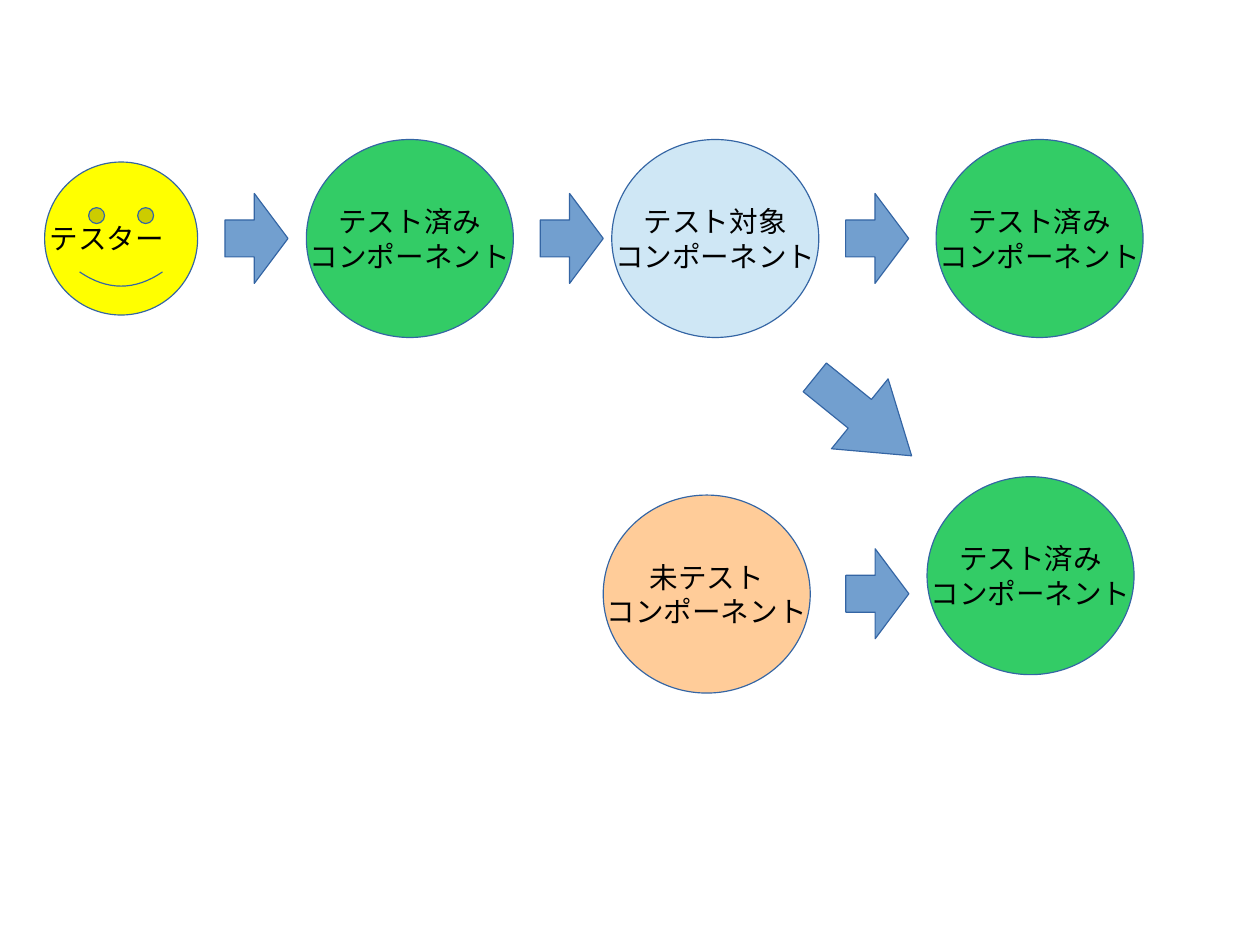
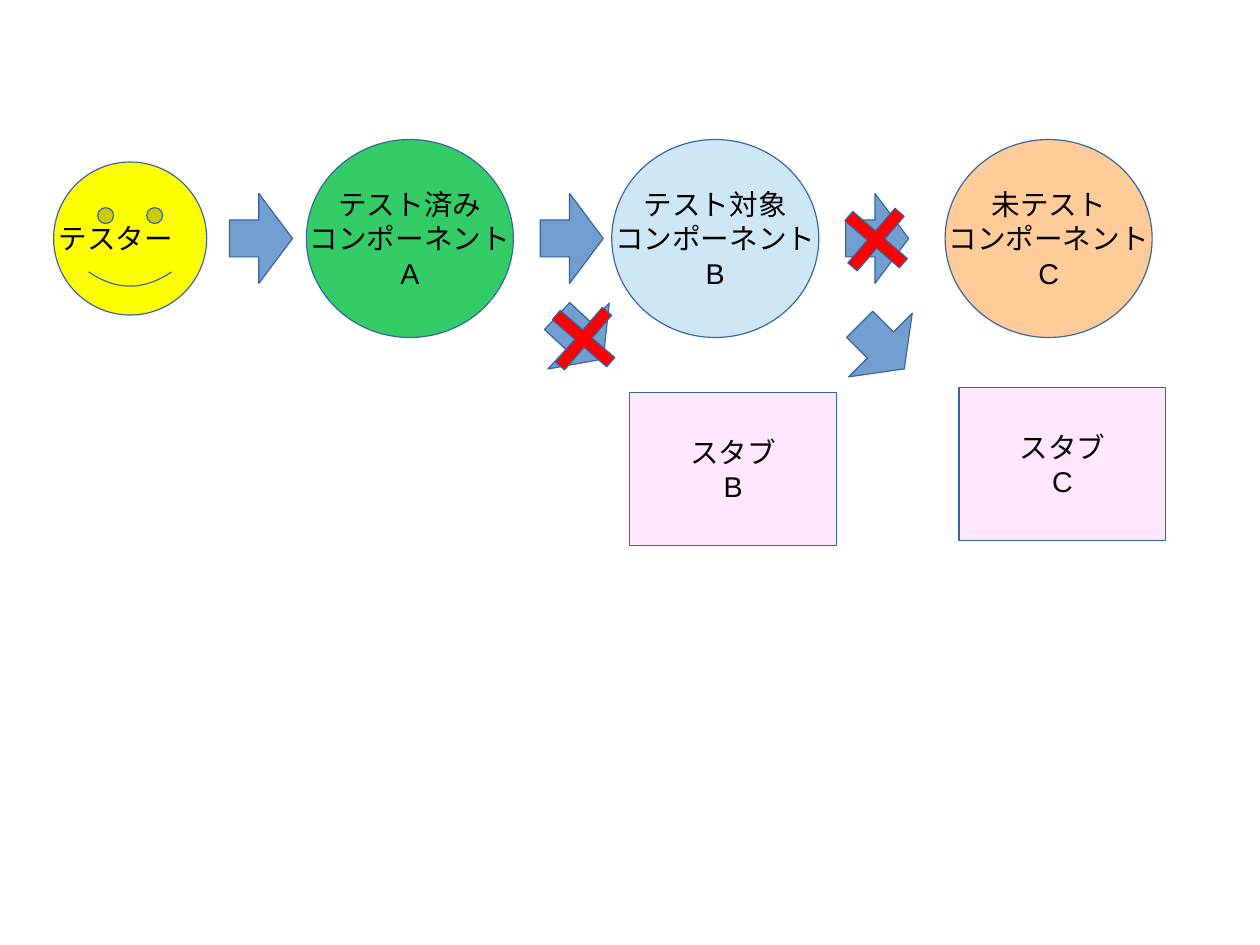
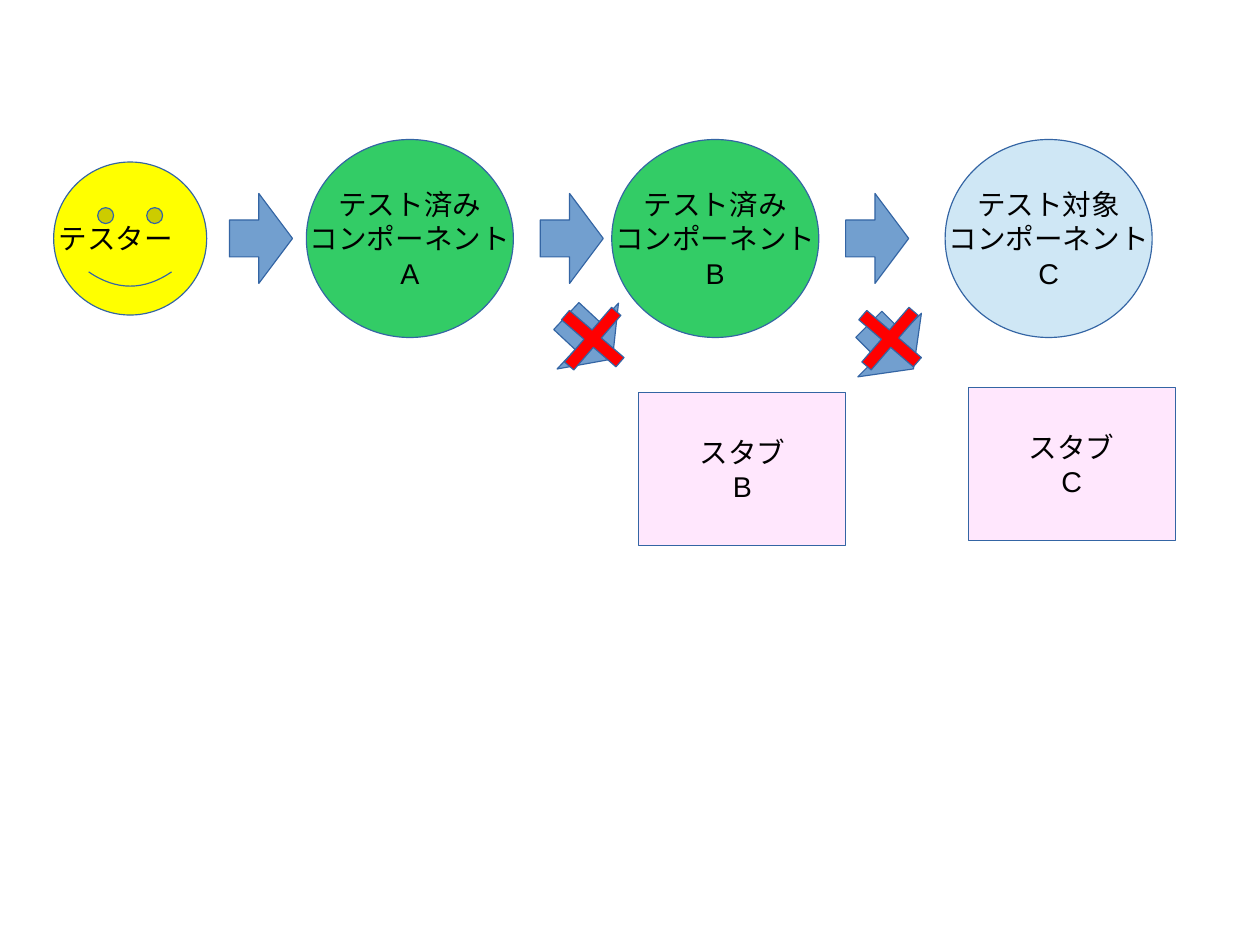
from collections import namedtuple

from pptx import Presentation
from pptx.dml.color import RGBColor
from pptx.enum.shapes import MSO_SHAPE
from pptx.enum.text import MSO_ANCHOR, PP_ALIGN
from pptx.util import Pt

OUTLINE_BLUE = RGBColor(0x34, 0x65, 0xA4)
ARROW_BLUE = RGBColor(0x72, 0x9F, 0xCF)
TARGET_BLUE = RGBColor(0xCF, 0xE7, 0xF5)
TESTED_GREEN = RGBColor(0x33, 0xCC, 0x66)
UNTESTED_ORANGE = RGBColor(0xFF, 0xCC, 0x99)
TESTER_YELLOW = RGBColor(0xFF, 0xFF, 0x00)
STUB_PINK = RGBColor(0xFF, 0xE7, 0xFD)
CROSS_RED = RGBColor(0xFF, 0x00, 0x00)
BLACK = RGBColor(0x00, 0x00, 0x00)

Box = namedtuple("Box", "left top width height")

COMPONENT_WIDTH, COMPONENT_HEIGHT = 130.4, 124.7
COMPONENT_PITCH = 192.4
TESTER_SIZE = 96.4
ARROW_WIDTH, ARROW_HEIGHT = 39.7, 56.7
ARROW_OFFSET = 147.3
CROSS_SIZE = 45.4
STUB_HEIGHT = 96.4

STATES = {
    "テスト済み": TESTED_GREEN,
    "テスト対象": TARGET_BLUE,
    "未テスト": UNTESTED_ORANGE,
}
FONT_FORMAT = {"name": "Arial", "size": Pt(18)}
FRAME_FORMAT = {
    "word_wrap": False,
    "vertical_anchor": MSO_ANCHOR.MIDDLE,
    "margin_left": Pt(7.2),
    "margin_right": Pt(7.2),
    "margin_top": Pt(3.6),
    "margin_bottom": Pt(3.6),
}


def apply_format(target, values):
    for attribute, value in values.items():
        setattr(target, attribute, value)


def add_part(slide, preset, box, fill, rotation=0, adjustments=()):
    part = slide.shapes.add_shape(preset, *(Pt(length) for length in box))
    part.shadow.inherit = False
    part.rotation = rotation
    part.fill.solid()
    part.fill.fore_color.rgb = fill
    part.line.color.rgb = OUTLINE_BLUE
    part.line.width = Pt(0)
    for index, value in enumerate(adjustments):
        part.adjustments[index] = value
    return part


def add_label(part, lines, alignment=PP_ALIGN.CENTER):
    frame = part.text_frame
    apply_format(frame, FRAME_FORMAT)
    frame.text = "\v".join(lines)
    paragraph = frame.paragraphs[0]
    paragraph.alignment = alignment
    for run in paragraph.runs:
        apply_format(run.font, FONT_FORMAT)
        run.font.color.rgb = BLACK


def add_component(slide, left, top, state, letter=""):
    box = Box(left, top, COMPONENT_WIDTH, COMPONENT_HEIGHT)
    lines = [state, "コンポーネント"] + ([letter] if letter else [])
    add_label(add_part(slide, MSO_SHAPE.OVAL, box, STATES[state]), lines)


def add_tester(slide, left, top):
    box = Box(left, top, TESTER_SIZE, TESTER_SIZE)
    tester = add_part(slide, MSO_SHAPE.SMILEY_FACE, box, TESTER_YELLOW, adjustments=(0.093,))
    add_label(tester, ["テスター"], PP_ALIGN.RIGHT)


def add_arrow(slide, left, top, rotation=0, width=ARROW_WIDTH, head=0.534, cross_shift=None):
    box = Box(left, top, width, ARROW_HEIGHT)
    add_part(slide, MSO_SHAPE.RIGHT_ARROW, box, ARROW_BLUE, rotation, (0.41, head))
    if cross_shift:
        shift_x, shift_y = cross_shift
        cross = Box(
            left + (width - CROSS_SIZE) / 2 + shift_x,
            top + (ARROW_HEIGHT - CROSS_SIZE) / 2 + shift_y,
            CROSS_SIZE,
            CROSS_SIZE,
        )
        add_part(slide, MSO_SHAPE.CROSS, cross, CROSS_RED, 40.8, (0.415,))


def add_call_row(slide, box, inset, components, last_cross=None):
    first = box.left + inset
    second = first + COMPONENT_PITCH
    last = box.left + box.width - COMPONENT_WIDTH
    for left, component in zip((first, second, last), components):
        add_component(slide, left, box.top, *component)
    add_tester(slide, box.left, box.top + (box.height - TESTER_SIZE) / 2)

    arrow_top = box.top + (box.height - ARROW_HEIGHT) / 2
    gap_middle = (box.left + TESTER_SIZE + first) / 2
    add_arrow(slide, gap_middle - ARROW_WIDTH / 2 + 2.8, arrow_top)
    add_arrow(slide, first + ARROW_OFFSET, arrow_top)
    add_arrow(slide, second + ARROW_OFFSET, arrow_top, cross_shift=last_cross)


def add_branch(slide, box):
    add_component(slide, box.left, box.top + 11.6, "未テスト")
    add_component(slide, box.left + box.width - COMPONENT_WIDTH, box.top, "テスト済み")
    add_arrow(slide, box.left + 152.8, box.top + 45.4)
    add_arrow(slide, box.left + 124.5, box.top - 66.2, 39, 78.5, 0.741)


def add_stub_row(slide, box, crosses):
    stubs = (
        ("B", 51.1, 62.8, 0, 0, 43),
        ("C", box.width - COMPONENT_WIDTH, 59.9, 190.1, 5.7, 45),
    )
    for (letter, left, top, arrow_left, arrow_top, rotation), cross in zip(stubs, crosses):
        stub_box = Box(box.left + left, box.top + top, COMPONENT_WIDTH, STUB_HEIGHT)
        stub = add_part(slide, MSO_SHAPE.RECTANGLE, stub_box, STUB_PINK)
        add_label(stub, ["スタブ", letter])
        add_arrow(
            slide, box.left + arrow_left, box.top + arrow_top, rotation, cross_shift=cross
        )


def build_direct_slide(slide):
    states = [("テスト済み",), ("テスト対象",), ("テスト済み",)]
    add_call_row(slide, Box(28.1, 87.9, 692, COMPONENT_HEIGHT), 164.9, states)
    add_branch(slide, Box(380, 300.3, 334.4, 136.3))


def build_stub_slide(slide, states, stub_left, last_cross, stub_crosses):
    components = list(zip(states, "ABC"))
    row = Box(33.8, 87.9, 692, COMPONENT_HEIGHT)
    add_call_row(slide, row, 159.2, components, last_cross)
    add_stub_row(slide, Box(stub_left, 184.3, 388.9, 159.2), stub_crosses)


def main():
    presentation = Presentation()
    presentation.slide_width = Pt(793.7)
    presentation.slide_height = Pt(595.3)
    blank = presentation.slide_layouts[6]

    build_direct_slide(presentation.slides.add_slide(blank))
    build_stub_slide(
        presentation.slides.add_slide(blank),
        ("テスト済み", "テスト対象", "未テスト"),
        345.6,
        (-0.7, 0.7),
        ((2.1, 0.7), None),
    )
    build_stub_slide(
        presentation.slides.add_slide(blank),
        ("テスト済み", "テスト済み", "テスト対象"),
        351.4,
        None,
        ((2.1, 0.7), (-0.7, -5)),
    )
    presentation.save("out.pptx")


if __name__ == "__main__":
    main()
